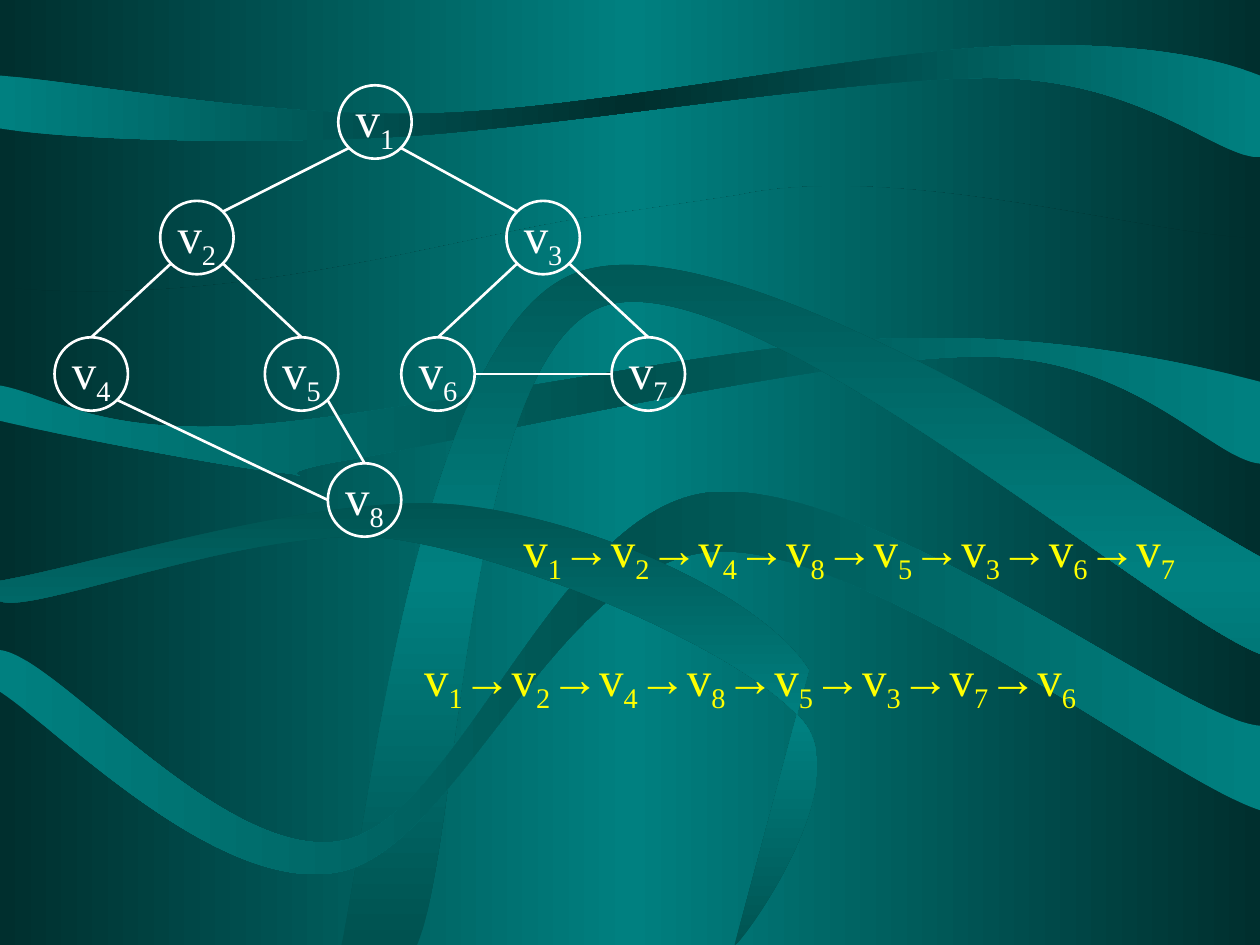
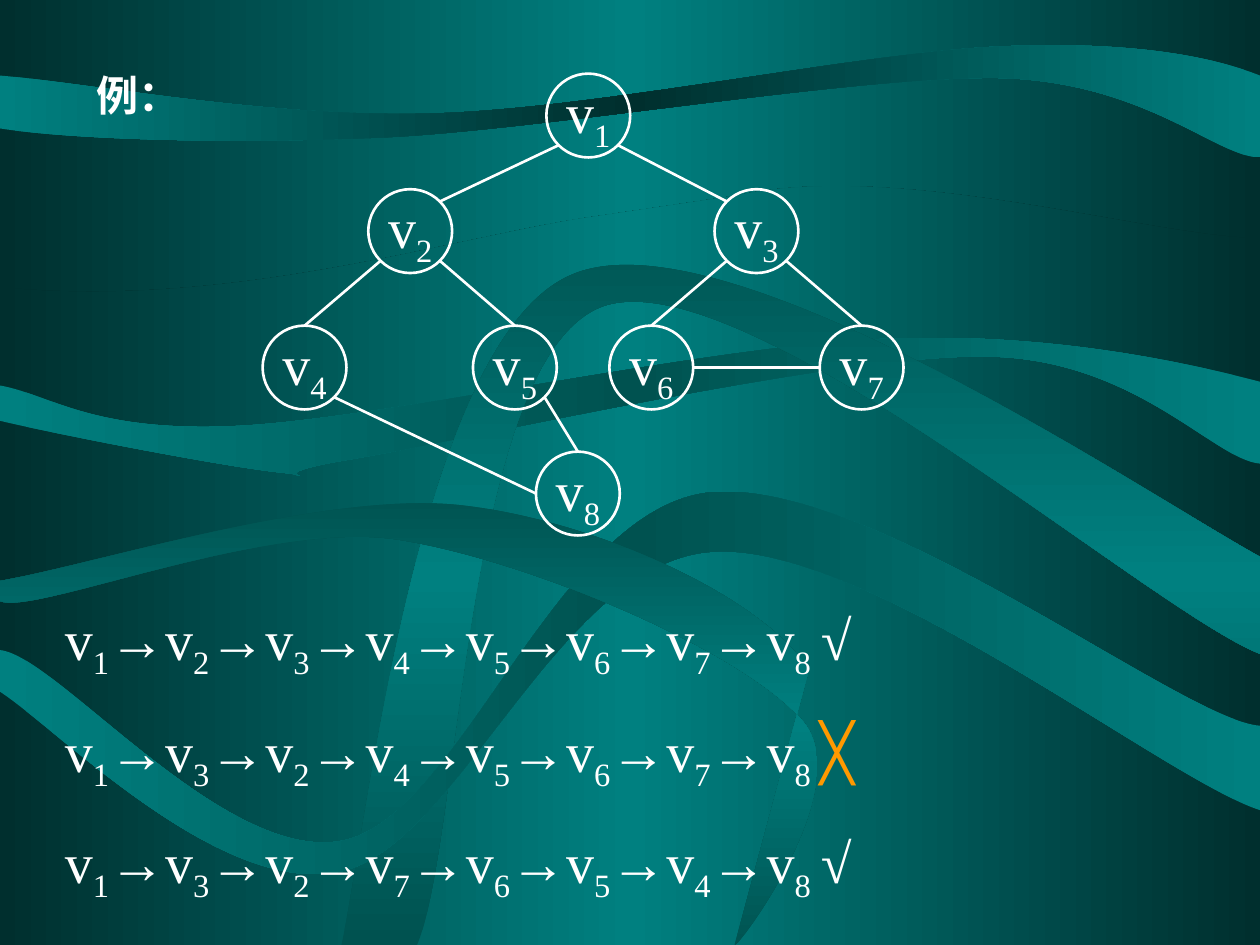
from copy import deepcopy
from dataclasses import dataclass
from math import cos, radians, sin

from lxml import etree
from pptx import Presentation
from pptx.dml.color import RGBColor
from pptx.enum import shapes, text
from pptx.oxml.ns import qn
from pptx.util import Cm, Pt


@dataclass(frozen=True)
class Theme:
    font: str = "Times New Roman"
    white: str = "FFFFFF"
    yellow: str = "FFFF00"
    orange: str = "FF9900"
    teal: str = "008080"
    deep: str = "005250"
    dark: str = "002F2E"
    heading: int = 24
    small: int = 28
    large: int = 32
    line: float = 1.5


THEME = Theme()

# Ribbons are drawn on a 1000 x 750 grid: a pair is a line, six numbers a curve
GRID = Cm(25.4) / 1000
HORIZONTAL, VERTICAL = 180, 90
RIBBONS = [
    (THEME.dark, THEME.teal, HORIZONTAL, [
        (0, 228), (178, 245, 340, 194, 458, 174), (458, 174, 567, 158, 586, 155),
        (715, 127, 917, 189, 1000, 189), (1000, 750), (0, 750),
        (0, 750, 0, 228, 0, 228)]),
    (THEME.teal, THEME.dark, HORIZONTAL, [
        (0, 60), (0, 102), (51, 110, 176, 115, 308, 109), (440, 102, 679, 60, 794, 62),
        (909, 65, 966, 125, 1000, 125), (1000, 60), (965, 46, 901, 32, 792, 37),
        (682, 42, 477, 86, 345, 90), (213, 94, 72, 66, 0, 60)]),
    (THEME.teal, THEME.deep, HORIZONTAL, [
        (0, 306), (0, 334), (37, 343, 175, 370, 222, 375), (269, 380, 190, 379, 282, 364),
        (375, 348, 660, 282, 780, 283), (900, 283, 963, 365, 1000, 368), (1000, 303),
        (950, 290, 836, 263, 701, 269), (566, 274, 307, 332, 190, 338),
        (73, 344, 40, 313, 0, 306)]),
    (THEME.deep, THEME.teal, VERTICAL, [
        (271, 750), (291, 661, 332, 269, 454, 218), (575, 166, 909, 392, 1000, 442),
        (1000, 519), (913, 485, 591, 205, 479, 243), (368, 282, 366, 666, 331, 750),
        (271, 750)]),
    (THEME.teal, THEME.deep, HORIZONTAL, [
        (0, 516), (0, 549), (45, 578, 174, 711, 269, 692), (363, 674, 443, 446, 565, 438),
        (687, 429, 927, 620, 1000, 643), (1000, 576), (938, 572, 691, 377, 562, 391),
        (441, 406, 367, 646, 273, 667), (179, 687, 45, 520, 0, 516)]),
    (THEME.deep, THEME.teal, VERTICAL, [
        (0, 461), (0, 477), (26, 489, 208, 413, 314, 428), (420, 444, 592, 518, 637, 572),
        (682, 625, 582, 757, 583, 750), (642, 532), (606, 474, 473, 413, 366, 401),
        (259, 389, 76, 448, 0, 461)]),
]

# Node centres in cm, measured from the root
NODES = {1: (0, 0), 2: (-3.59, 2.33), 3: (3.39, 2.33), 4: (-5.72, 5.08),
         5: (-1.48, 5.08), 6: (1.27, 5.08), 7: (5.51, 5.08), 8: (-0.21, 7.62)}
SIDES = {"E": 0, "SE": 45, "SW": 135, "W": 180, "NW": 225, "N": 270, "NE": 315}
EDGES = [(1, "SW", 2, "NE"), (1, "SE", 3, "NW"), (2, "SW", 4, "N"),
         (2, "SE", 5, "N"), (5, "SE", 8, "N"), (4, "SE", 8, "W"),
         (3, "SW", 6, "N"), (3, "SE", 7, "N"), (7, "W", 6, "E")]


def rgb(color):
    return RGBColor.from_string(color)


# Shared background
def set_gradient(fill, element, edge, middle, angle):
    fill.gradient()
    stops = next(element.iter(qn("a:gsLst")))
    stops.append(deepcopy(stops[0]))
    for stop, position, color in zip(fill.gradient_stops, (0, 0.5, 1), (edge, middle, edge)):
        stop.position = position
        stop.color.rgb = rgb(color)
    fill.gradient_angle = angle


def bend_curves(sp, segments):
    """Join each curve's three line points into one cubic curve."""
    lines = iter(list(sp.element.iter(qn("a:lnTo"))))
    for segment in segments:
        parts = [next(lines) for _ in range(len(segment) // 2)]
        if len(parts) == 3:
            curve = etree.Element(qn("a:cubicBezTo"))
            parts[0].addprevious(curve)
            for line in parts:
                curve.append(line[0])
                line.getparent().remove(line)


def add_ribbon(slide, edge, middle, angle, outline):
    points = [(segment[i] * GRID, segment[i + 1] * GRID)
              for segment in outline for i in range(0, len(segment), 2)]
    builder = slide.shapes.build_freeform(*points[0])
    builder.add_line_segments(points[1:], close=True)
    sp = builder.convert_to_shape()
    bend_curves(sp, outline[1:])
    set_gradient(sp.fill, sp.element, edge, middle, angle)
    sp.line.fill.background()
    sp.shadow.inherit = False
    return sp


def decorate_master(master, slide):
    """Draw the ribbons on a slide and move them to the master."""
    set_gradient(master.background.fill, master.element, THEME.dark, THEME.teal, HORIZONTAL)
    for number, ribbon in enumerate(RIBBONS, 101):
        sp = add_ribbon(slide, *ribbon)
        sp.element.xpath(".//p:cNvPr")[0].set("id", str(number))
        master.shapes.element.append(sp.element)


# Text
def add_run(p, content, size, color, subscript=False, bold=False):
    r = p.add_run()
    r.text = content
    r.font.name = THEME.font
    r.font.size = Pt(size)
    r.font.bold = bold
    r.font.color.rgb = rgb(color)
    if subscript:
        r.font._element.set("baseline", "-25000")


def add_vertices(p, order, size, color, end=""):
    """Write vertices such as v1→v2, with their numbers as subscripts."""
    for i, number in enumerate(order, 1):
        add_run(p, "→v" if i > 1 else "v", size, color)
        add_run(p, f"{number}{end if i == len(order) else ''}", size, color, subscript=True)


def add_text_box(slide, left, top, width, height, wrap=True):
    tf = slide.shapes.add_textbox(Cm(left), Cm(top), Cm(width), Cm(height)).text_frame
    tf.word_wrap = wrap
    return tf


def add_tab_stop(p, position):
    tabs = etree.SubElement(p._p.get_or_add_pPr(), qn("a:tabLst"))
    etree.SubElement(tabs, qn("a:tab"), pos=str(Cm(position)), algn="l")


def add_traversal_list(tf, rows):
    for i, (order, mark, color) in enumerate(rows):
        p = tf.add_paragraph() if i else tf.paragraphs[0]
        if i:
            p.space_before = Pt(20)
        add_tab_stop(p, 15.24)
        add_vertices(p, order, THEME.large, THEME.white, end="\t")
        add_run(p, mark, THEME.large, color)


# Graph
def add_node(group, number, x, y, diameter, size):
    sp = group.shapes.add_shape(shapes.MSO_SHAPE.OVAL, Cm(x - diameter / 2),
                                Cm(y - diameter / 2), Cm(diameter), Cm(diameter))
    sp.fill.background()
    sp.line.color.rgb = rgb(THEME.white)
    sp.line.width = Pt(THEME.line)
    sp.shadow.inherit = False
    tf = sp.text_frame
    tf.word_wrap = False
    tf.vertical_anchor = text.MSO_ANCHOR.MIDDLE
    p = tf.paragraphs[0]
    p.alignment = text.PP_ALIGN.CENTER
    add_vertices(p, [number], size, THEME.white)


def add_edge(group, start, end):
    c = group.shapes.add_connector(shapes.MSO_CONNECTOR.STRAIGHT,
                                   *(Cm(value) for value in (*start, *end)))
    c.line.color.rgb = rgb(THEME.white)
    c.line.width = Pt(THEME.line)
    etree.SubElement(c.element.spPr, qn("a:effectLst"))


def add_graph(slide, root_x, root_y, diameter, size):
    group = slide.shapes.add_group_shape()
    centres = {n: (root_x + dx, root_y + dy) for n, (dx, dy) in NODES.items()}

    def rim(number, side):
        x, y = centres[number]
        angle = radians(SIDES[side])
        return x + diameter / 2 * cos(angle), y + diameter / 2 * sin(angle)

    for number, (x, y) in centres.items():
        add_node(group, number, x, y, diameter, size)
    for first, first_side, second, second_side in EDGES:
        add_edge(group, rim(first, first_side), rim(second, second_side))


# Slides
def build_depth_first(slide):
    add_graph(slide, 7.56, 2.46, 1.48, THEME.small)
    for left, top, order in ((10.3, 10.32, "12485367"), (8.3, 12.93, "12485376")):
        tf = add_text_box(slide, left, top, 13.64, 1.6, wrap=False)
        add_vertices(tf.paragraphs[0], order, THEME.small, THEME.yellow)


def build_breadth_first(slide):
    heading = add_text_box(slide, 1.7, 1.27, 21.59, 11.43)
    add_run(heading.paragraphs[0], "例：", THEME.heading, THEME.white, bold=True)
    add_graph(slide, 11.86, 2.33, 1.69, THEME.large)
    add_traversal_list(add_text_box(slide, 1.06, 12.07, 24.34, 6.3), [
        ("12345678", "√", THEME.white),
        ("13245678", "╳", THEME.orange),
        ("13276548", "√", THEME.white),
    ])


def main():
    prs = Presentation()
    prs.slide_width, prs.slide_height = Cm(25.4), Cm(19.05)
    blank = prs.slide_layouts[6]
    depth_first, breadth_first = (prs.slides.add_slide(blank) for _ in range(2))
    decorate_master(prs.slide_master, depth_first)
    build_depth_first(depth_first)
    build_breadth_first(breadth_first)
    prs.save("out.pptx")


if __name__ == "__main__":
    main()
